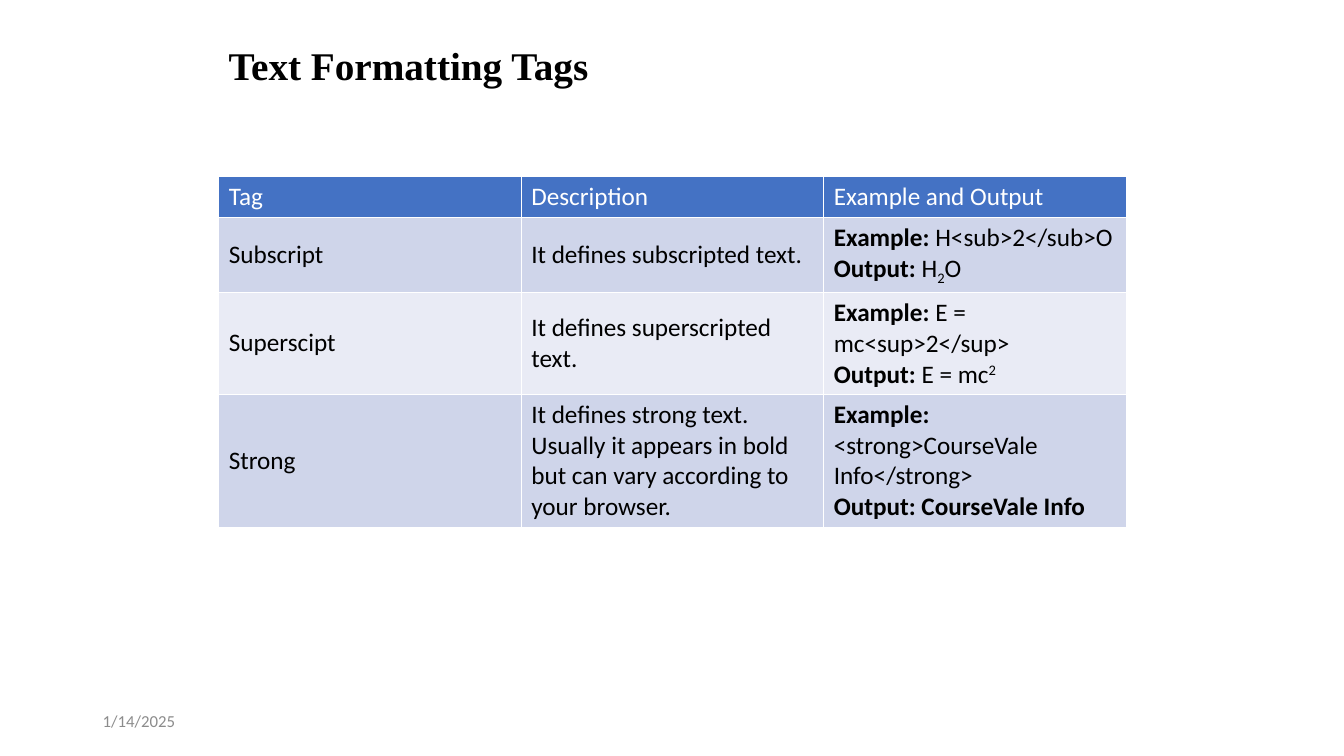
from lxml import etree
from pptx import Presentation
from pptx.dml.color import RGBColor
from pptx.enum.text import MSO_ANCHOR
from pptx.oxml.ns import qn
from pptx.util import Inches, Pt

MIDDLE = MSO_ANCHOR.MIDDLE
COLORS = {
    "black": "000000",
    "white": "FFFFFF",
    "gray": "8C8C8C",
    "header": "4472C4",
    "band_dark": "CFD5EA",
    "band_light": "E9EBF5",
}
BOLD = {"bold": True}
SUBSCRIPT = {"baseline": -25000}
SUPERSCRIPT = {"baseline": 30000}


def add_text(paragraph, text, font="Calibri", size=18, color="black", bold=False, baseline=None):
    for index, line in enumerate(text.split("\n")):
        if index:
            paragraph.add_line_break()
        if not line:
            continue
        run = paragraph.add_run()
        run.text = line
        run.font.name = font
        run.font.size = Pt(size)
        run.font.bold = bold
        run.font.color.rgb = RGBColor.from_string(COLORS[color])
        if baseline:
            run.font._element.set("baseline", str(baseline))


class SlideBuilder:
    def __init__(self, presentation):
        self.slide = presentation.slides.add_slide(presentation.slide_layouts[6])

    def text_box(self, left, top, width, height, text, **style):
        shape = self.slide.shapes.add_textbox(
            Inches(left), Inches(top), Inches(width), Inches(height)
        )
        frame = shape.text_frame
        frame.word_wrap = True
        frame.vertical_anchor = MIDDLE
        add_text(frame.paragraphs[0], text, **style)

    def borders(self, cell, color="white", width=1):
        properties = cell._tc.get_or_add_tcPr()
        for side in ("a:lnL", "a:lnR", "a:lnT", "a:lnB"):
            line = etree.SubElement(properties, qn(side), w=str(Pt(width)))
            fill = etree.SubElement(line, qn("a:solidFill"))
            etree.SubElement(fill, qn("a:srgbClr"), val=COLORS[color])

    def table(self, left, top, column_width, row_heights, rows):
        columns = len(rows[0])
        table = self.slide.shapes.add_table(
            len(rows), columns, Inches(left), Inches(top),
            Inches(column_width * columns), Inches(sum(row_heights)),
        ).table
        for column in table.columns:
            column.width = Inches(column_width)
        for row_index, (height, row) in enumerate(zip(row_heights, rows)):
            table.rows[row_index].height = Inches(height)
            band = "band_dark" if row_index % 2 else "band_light"
            fill = band if row_index else "header"
            color = "black" if row_index else "white"
            for column_index, runs in enumerate(row):
                cell = table.cell(row_index, column_index)
                cell.vertical_anchor = MIDDLE
                self.borders(cell)
                cell.fill.solid()
                cell.fill.fore_color.rgb = RGBColor.from_string(COLORS[fill])
                for text, style in runs:
                    add_text(cell.text_frame.paragraphs[0], text, color=color, **style)


def plain(*texts):
    return [[(text, {})] for text in texts]


def main():
    presentation = Presentation()
    presentation.slide_width = Inches(13.33)
    presentation.slide_height = Inches(7.5)
    builder = SlideBuilder(presentation)

    builder.text_box(2.17, 0.25, 9, 0.78, "Text Formatting Tags",
                     font="Times New Roman", size=28, bold=True)

    example = ("Example:", BOLD)
    output = ("Output:", BOLD)
    rows = [
        plain("Tag", "Description", "Example and Output"),
        plain("Subscript", "It defines subscripted text.") + [
            [example, (" H<sub>2</sub>O\n", {}), output, (" H", {}), ("2", SUBSCRIPT), ("O", {})]
        ],
        plain("Superscipt", "It defines superscripted text.") + [
            [example, (" E = mc<sup>2</sup>\n", {}), output, (" E = mc", {}), ("2", SUPERSCRIPT)]
        ],
        plain(
            "Strong",
            "It defines strong text. Usually it appears in bold "
            "but can vary according to your browser.",
        ) + [
            [example, (" <strong>CourseVale Info</strong>\n", {}), ("Output: CourseVale Info", BOLD)]
        ],
    ]
    builder.table(2.17, 1.75, 3, [0.41, 0.74, 1.01, 1.32], rows)

    builder.text_box(0.92, 6.95, 3, 0.4, "1/14/2025", size=12, color="gray")
    presentation.save("out.pptx")


if __name__ == "__main__":
    main()
